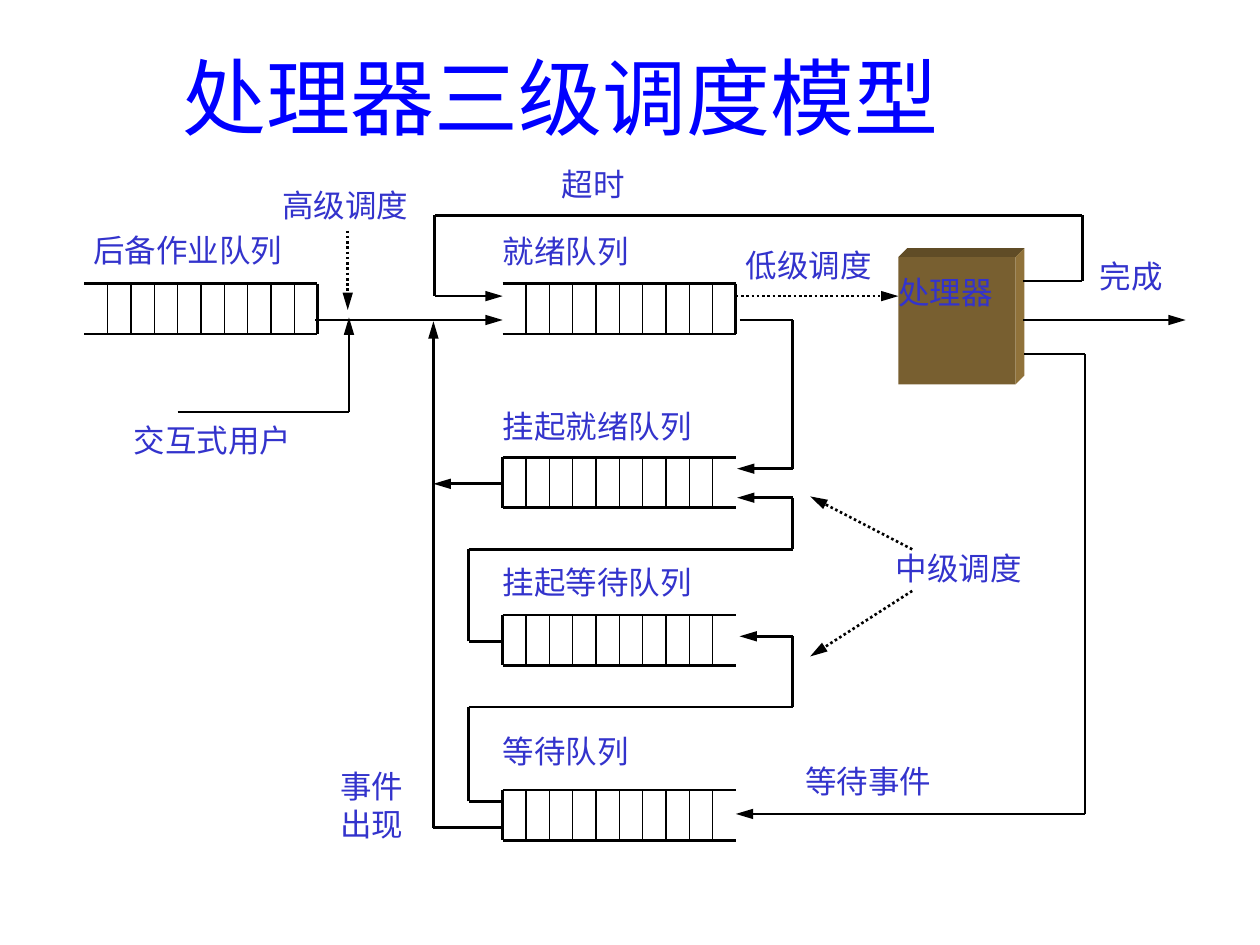
from dataclasses import dataclass

import pptx
import pptx.dml.color
import pptx.enum.dml
import pptx.enum.shapes
import pptx.enum.text
import pptx.oxml
import pptx.oxml.ns
import pptx.util
from pptx.util import Inches

RGBColor = pptx.dml.color.RGBColor
BLACK = RGBColor(0x00, 0x00, 0x00)
TITLE_BLUE = RGBColor(0x00, 0x00, 0xFF)
LABEL_BLUE = RGBColor(0x33, 0x33, 0xCC)
BOX_FRONT = RGBColor(0x78, 0x5F, 0x30)
BOX_TOP = RGBColor(0x60, 0x4C, 0x26)
BOX_SIDE = RGBColor(0x90, 0x72, 0x3A)

LABEL_FONT = "Noto Sans CJK JP"
QUEUE_WIDTH, QUEUE_HEIGHT, QUEUE_CELLS = 1.85, 0.4, 10


@dataclass
class Queue:
    left: float
    top: float
    closed_right: bool


@dataclass
class Label:
    text: str
    left: float
    top: float
    width: float
    height: float = 0.4


@dataclass
class Route:
    """A chain of straight lines through points, with an arrow at the end."""
    points: list[tuple[float, float]]
    arrow: bool = True
    dotted: bool = False


QUEUES = [
    Queue(0.67, 2.25, True),
    Queue(3.99, 2.25, True),
    Queue(3.99, 3.63, False),
    Queue(3.99, 4.88, False),
    Queue(3.99, 6.27, False),
]

LABELS = [
    Label("后备作业队列", 0.74, 1.83, 1.76),
    Label("高级调度", 2.24, 1.48, 1.07),
    Label("超时", 4.46, 1.31, 3.1),
    Label("就绪队列", 3.99, 1.84, 1.85),
    Label("低级调度", 5.92, 1.95, 1.13, 0.3),
    Label("完成", 8.73, 2.04, 0.68, 0.5),
    Label("交互式用户", 1.06, 3.34, 1.29),
    Label("挂起就绪队列", 3.99, 3.23, 1.85),
    Label("挂起等待队列", 3.99, 4.47, 1.85),
    Label("中级调度", 7.11, 4.36, 1.08),
    Label("等待队列", 3.99, 5.81, 1.85),
    Label("等待事件", 6.39, 6.05, 1.66),
    Label("事件\n出现", 2.7, 6.09, 0.74, 0.81),
]

ROUTES = [
    Route([(2.5, 2.54), (3.99, 2.54)]),
    Route([(1.41, 3.27), (2.77, 3.27), (2.77, 2.52)]),
    Route([(8.12, 2.23), (8.59, 2.23), (8.59, 1.71), (3.45, 1.71), (3.45, 2.35), (3.99, 2.35)]),
    Route([(8.12, 2.54), (9.41, 2.54)]),
    Route([(8.13, 2.81), (8.61, 2.81), (8.61, 6.46), (5.84, 6.46)]),
    Route([(5.87, 2.54), (6.29, 2.54), (6.29, 3.72), (5.85, 3.72)]),
    Route([(3.99, 5.09), (3.72, 5.09), (3.72, 4.36), (6.29, 4.36), (6.29, 3.95), (5.85, 3.95)]),
    Route([(3.99, 6.36), (3.72, 6.36), (3.72, 5.61), (6.29, 5.61), (6.29, 5.05), (5.87, 5.05)]),
    Route([(3.99, 6.57), (3.44, 6.57), (3.44, 2.55)]),
    Route([(3.99, 3.84), (3.44, 3.84)]),
    Route([(2.76, 1.83), (2.76, 2.46)], dotted=True),
    Route([(5.84, 2.35), (7.13, 2.35)], dotted=True),
    Route([(7.24, 4.36), (6.43, 3.94)], dotted=True),
    Route([(7.24, 4.69), (6.43, 5.21)], dotted=True),
]


def add_line(page, start: tuple[float, float], end: tuple[float, float],
             weight: float = 1.5, arrow: bool = False, dotted: bool = False) -> None:
    line = page.shapes.add_connector(
        pptx.enum.shapes.MSO_CONNECTOR.STRAIGHT, *map(Inches, start + end))
    line.line.color.rgb = BLACK
    line.line.width = pptx.util.Pt(weight)
    if dotted:
        line.line.dash_style = pptx.enum.dml.MSO_LINE.ROUND_DOT
    properties = line._element.spPr
    if arrow:
        tail = pptx.oxml.ns.qn("a:tailEnd")
        outline = line.line._get_or_add_ln()
        outline.append(outline.makeelement(tail, {"type": "triangle", "w": "med", "len": "lg"}))
    properties.append(properties.makeelement(pptx.oxml.ns.qn("a:effectLst"), {}))


def add_route(page, route: Route) -> None:
    last = len(route.points) - 1
    for index in range(last):
        add_line(page, route.points[index], route.points[index + 1],
                 arrow=route.arrow and index == last - 1, dotted=route.dotted)


def add_queue(page, queue: Queue) -> None:
    right, bottom = queue.left + QUEUE_WIDTH, queue.top + QUEUE_HEIGHT
    for y in (queue.top, bottom):
        add_line(page, (queue.left, y), (right, y))
    closed_end = right if queue.closed_right else queue.left
    add_line(page, (closed_end, queue.top), (closed_end, bottom))
    for cell in range(1, QUEUE_CELLS):
        x = queue.left + cell * QUEUE_WIDTH / QUEUE_CELLS
        add_line(page, (x, queue.top), (x, bottom), weight=0.75)


def write_label(frame, text: str, top_inset: float = 0) -> None:
    frame.word_wrap = True
    frame.margin_left = frame.margin_right = frame.margin_bottom = 0
    frame.margin_top = Inches(top_inset)
    frame.vertical_anchor = pptx.enum.text.MSO_ANCHOR.TOP
    frame.text = text
    for paragraph in frame.paragraphs:
        paragraph.alignment = pptx.enum.text.PP_ALIGN.LEFT
        font = paragraph.font
        font.size = pptx.util.Pt(18)
        font.name = LABEL_FONT
        font.color.rgb = LABEL_BLUE


def add_label(page, label: Label) -> None:
    box = page.shapes.add_textbox(
        *map(Inches, (label.left, label.top, label.width, label.height)))
    write_label(box.text_frame, label.text)


def paint(shape, color: RGBColor) -> None:
    shape.shadow.inherit = False
    shape.fill.solid()
    shape.fill.fore_color.rgb = color
    shape.line.fill.background()


def add_processor(page) -> None:
    left, top, width, height, depth = 7.13, 2.04, 0.93, 1.01, 0.07
    right, bottom = left + width, top + height
    back_right, back_top = right + depth, top - depth
    faces = [
        (BOX_TOP, [(left, top), (left + depth, back_top), (back_right, back_top), (right, top)]),
        (BOX_SIDE, [(right, top), (back_right, back_top),
                    (back_right, bottom - depth), (right, bottom)]),
    ]
    for color, corners in faces:
        points = [(Inches(x), Inches(y)) for x, y in corners]
        builder = page.shapes.build_freeform(*points[0])
        builder.add_line_segments(points[1:])
        paint(builder.convert_to_shape(), color)
    front = page.shapes.add_shape(pptx.enum.shapes.MSO_SHAPE.RECTANGLE,
                                  *map(Inches, (left, top, width, height)))
    paint(front, BOX_FRONT)
    write_label(front.text_frame, "处理器", top_inset=0.13)


def add_title(page) -> None:
    title = page.shapes.title
    title.left, title.top, title.width, title.height = map(Inches, (0.2, 0.14, 8.5, 1.25))
    title.text_frame.text = "处理器三级调度模型"
    title.text_frame.vertical_anchor = pptx.enum.text.MSO_ANCHOR.MIDDLE
    paragraph = title.text_frame.paragraphs[0]
    paragraph.alignment = pptx.enum.text.PP_ALIGN.CENTER
    paragraph.font.size = pptx.util.Pt(48)
    paragraph.font.name = "Times New Roman"
    paragraph.font.color.rgb = TITLE_BLUE


def main() -> None:
    deck = pptx.Presentation()
    deck.slide_width, deck.slide_height = Inches(10), Inches(7.5)
    page = deck.slides.add_slide(deck.slide_layouts.get_by_name("Title Only"))
    add_title(page)
    for queue in QUEUES:
        add_queue(page, queue)
    add_processor(page)
    for route in ROUTES:
        add_route(page, route)
    for label in LABELS:
        add_label(page, label)
    deck.save("out.pptx")


if __name__ == "__main__":
    main()
